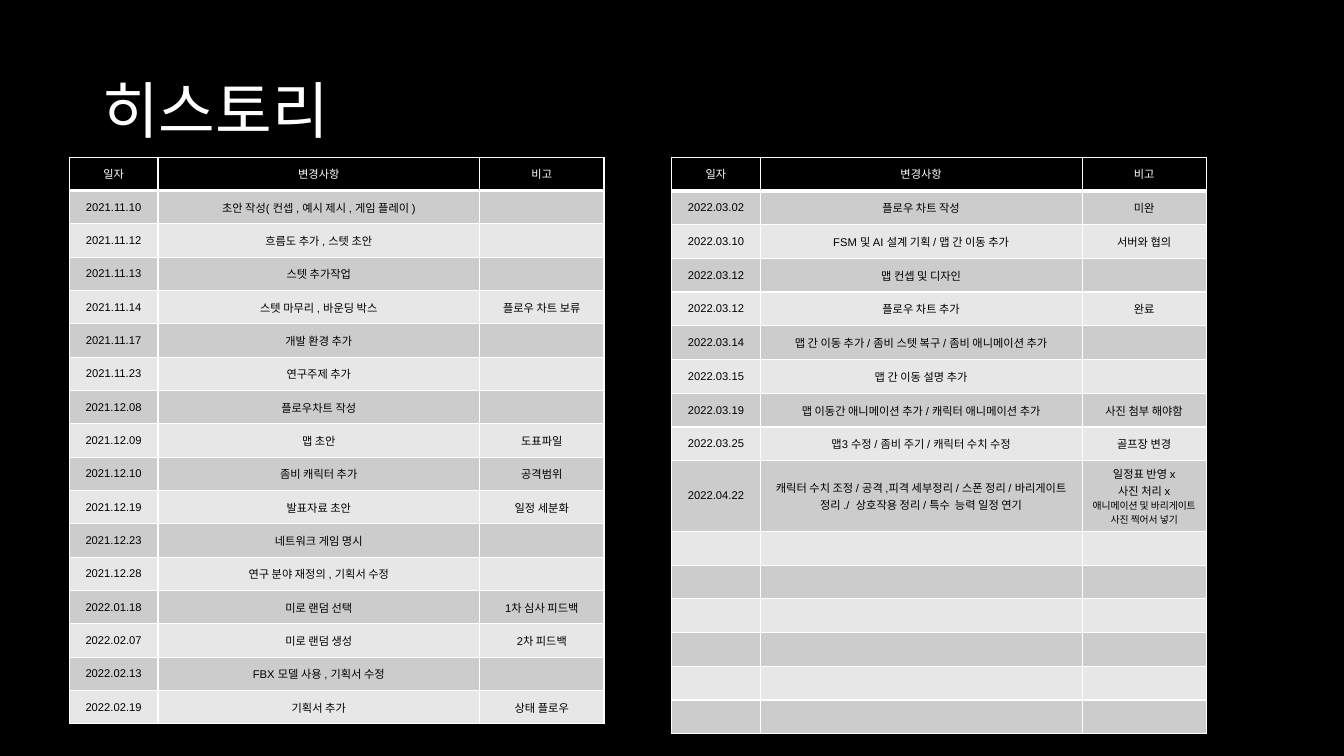
"""Build the project history slide with two change-log tables."""
from pptx import Presentation
from pptx.dml.color import RGBColor
from pptx.enum.text import MSO_ANCHOR, PP_ALIGN
from pptx.oxml import parse_xml
from pptx.oxml.ns import nsdecls
from pptx.util import Cm, Pt

TITLE = "히스토리"
HEADER = ("일자", "변경사항", "비고")
EMPTY = ("", "", "")
LOG_2021 = [
    ("2021.11.10", "초안 작성( 컨셉 , 예시 제시 , 게임 플레이 )", ""),
    ("2021.11.12", "흐름도 추가 , 스텟 초안", ""),
    ("2021.11.13", "스텟 추가작업", ""),
    ("2021.11.14", "스텟 마무리 , 바운딩 박스", "플로우 차트 보류"),
    ("2021.11.17", "개발 환경 추가", ""),
    ("2021.11.23", "연구주제 추가", ""),
    ("2021.12.08", "플로우차트 작성", ""),
    ("2021.12.09", "맵 초안", "도표파일"),
    ("2021.12.10", "좀비 캐릭터 추가", "공격범위"),
    ("2021.12.19", "발표자료 초안", "일정 세분화"),
    ("2021.12.23", "네트워크 게임 명시", ""),
    ("2021.12.28", "연구 분야 재정의 , 기획서 수정", ""),
    ("2022.01.18", "미로 랜덤 선택", "1차 심사 피드백"),
    ("2022.02.07", "미로 랜덤 생성", "2차 피드백"),
    ("2022.02.13", "FBX 모델 사용 , 기획서 수정", ""),
    ("2022.02.19", "기획서 추가", "상태 플로우"),
]
LOG_2022 = [
    ("2022.03.02", "플로우 차트 작성", "미완"),
    ("2022.03.10", "FSM 및 AI 설계 기획 / 맵 간 이동 추가", "서버와 협의"),
    ("2022.03.12", "맵 컨셉 및 디자인", ""),
    ("2022.03.12", "플로우 차트 추가", "완료"),
    ("2022.03.14", "맵 간 이동 추가 / 좀비 스텟 복구 / 좀비 애니메이션 추가", ""),
    ("2022.03.15", "맵 간 이동 설명 추가", ""),
    ("2022.03.19", "맵 이동간 애니메이션 추가 / 캐릭터 애니메이션 추가", "사진 첨부 해야함"),
    ("2022.03.25", "맵3 수정 / 좀비 주기 / 캐릭터 수치 수정", "골프장 변경"),
    ("2022.04.22",
     "캐릭터 수치 조정 / 공격 ,피격 세부정리 / 스폰 정리 / "
     "바리게이트 정리 ./  상호작용 정리 / 특수  능력 일정 연기",
     "일정표 반영 x\n사진 처리 x\n애니메이션 및 바리게이트 사진 찍어서 넣기"),
] + [EMPTY] * 6
TABLES = [
    {"left": 1.75, "row": 0.84, "log": LOG_2021},
    {"left": 16.93, "row": 0.85, "log": LOG_2022},
]
TOP = 3.96
COLS = (2.23, 8.11, 3.13)
TALL = 1.78
COLORS = {"bg": "000000", "line": "FFFFFF", "light": "FFFFFF", "dark": "000000",
          "odd": "CCCCCC", "even": "E7E7E7"}


def rgb(name):
    return RGBColor.from_string(COLORS[name])


def write(tf, text, *, size=8, font="Arial", color="dark", align=PP_ALIGN.CENTER,
          spacing=None, last_size=None):
    lines = text.split("\n")
    for i, line in enumerate(lines):
        p = tf.paragraphs[0] if i == 0 else tf.add_paragraph()
        p.alignment = align
        p.line_spacing = spacing
        if not line:
            p._p.append(parse_xml(f'<a:endParaRPr {nsdecls("a")} sz="{size * 100}"/>'))
            continue
        r = p.add_run()
        r.text = line
        small = last_size and i == len(lines) - 1
        r.font.size = Pt(last_size if small else size)
        r.font.name = font
        r.font.bold = False
        r.font.color.rgb = rgb(color)


def add_borders(cell, bottom=1):
    tcPr = cell._tc.get_or_add_tcPr()
    for side, width in zip("LRTB", (1, 1, 1, bottom)):
        tcPr.append(parse_xml(
            f'<a:ln{side} {nsdecls("a")} w="{Pt(width)}"><a:solidFill>'
            f'<a:srgbClr val="{COLORS["line"]}"/></a:solidFill></a:ln{side}>'))


def add_log(s, left, row, log):
    rows = [HEADER] + log
    heights = [TALL if "\n" in entry[2] else row for entry in rows]
    table = s.shapes.add_table(len(rows), len(COLS), Cm(left), Cm(TOP),
                               Cm(sum(COLS)), Cm(sum(heights))).table
    for col, width in zip(table.columns, COLS):
        col.width = Cm(width)
    for i, (entry, height) in enumerate(zip(rows, heights)):
        table.rows[i].height = Cm(height)
        fill = "bg" if i == 0 else "odd" if i % 2 else "even"
        for j, text in enumerate(entry):
            cell = table.cell(i, j)
            cell.vertical_anchor = MSO_ANCHOR.MIDDLE
            add_borders(cell, bottom=3 if i == 0 else 1)
            cell.fill.solid()
            cell.fill.fore_color.rgb = rgb(fill)
            write(cell.text_frame, text, color="light" if i == 0 else "dark",
                  last_size=7 if "\n" in text else None)


def main():
    prs = Presentation()
    prs.slide_width, prs.slide_height = Cm(33.87), Cm(19.05)
    s = prs.slides.add_slide(prs.slide_layouts[6])
    s.background.fill.solid()
    s.background.fill.fore_color.rgb = rgb("bg")
    tf = s.shapes.add_textbox(Cm(2.33), Cm(1.01), Cm(29.21), Cm(3.68)).text_frame
    tf.word_wrap = True
    tf.vertical_anchor = MSO_ANCHOR.MIDDLE
    write(tf, TITLE, size=44, font="Calibri", color="light", align=PP_ALIGN.LEFT, spacing=0.9)
    for spot in TABLES:
        add_log(s, **spot)
    prs.save("out.pptx")


if __name__ == "__main__":
    main()
